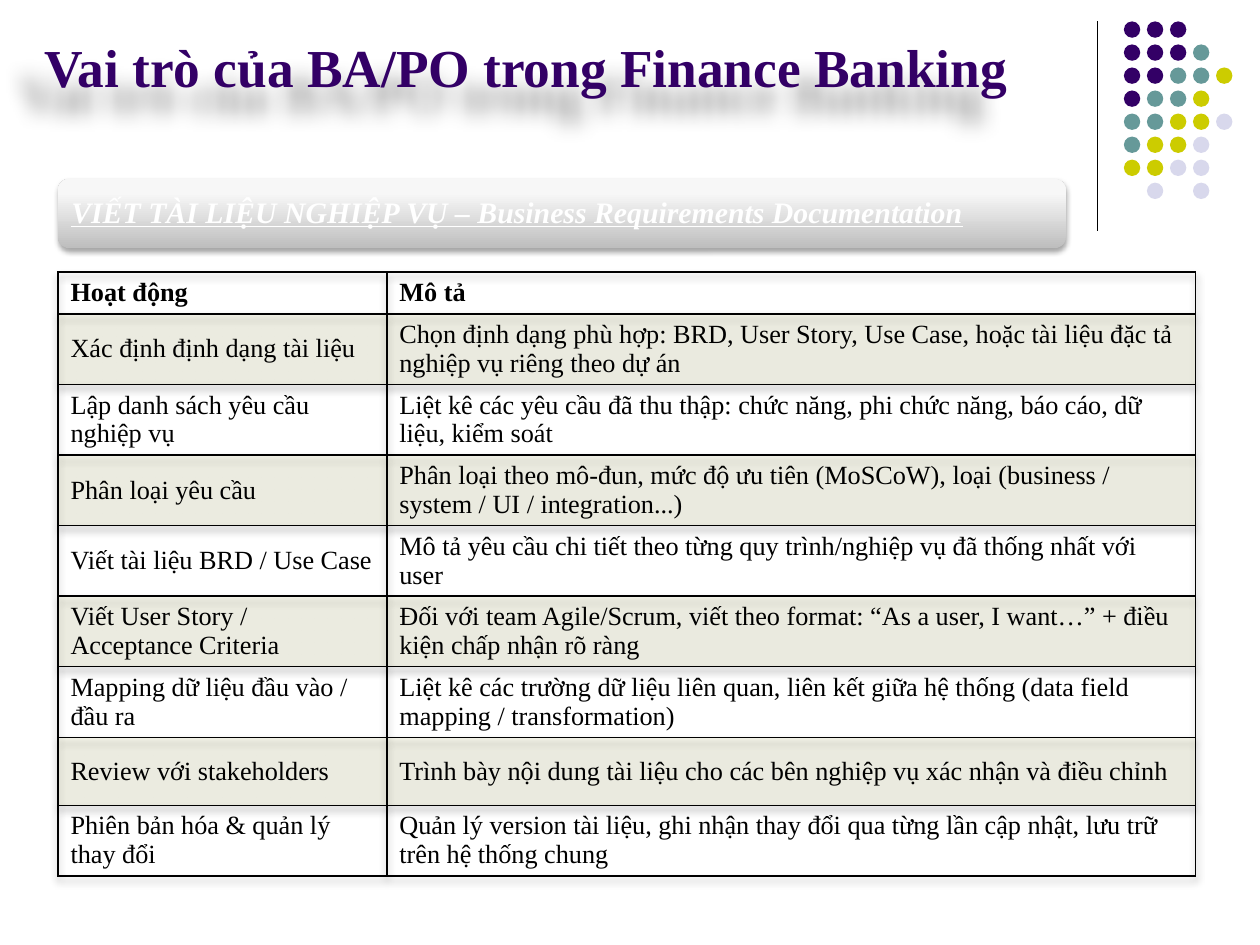
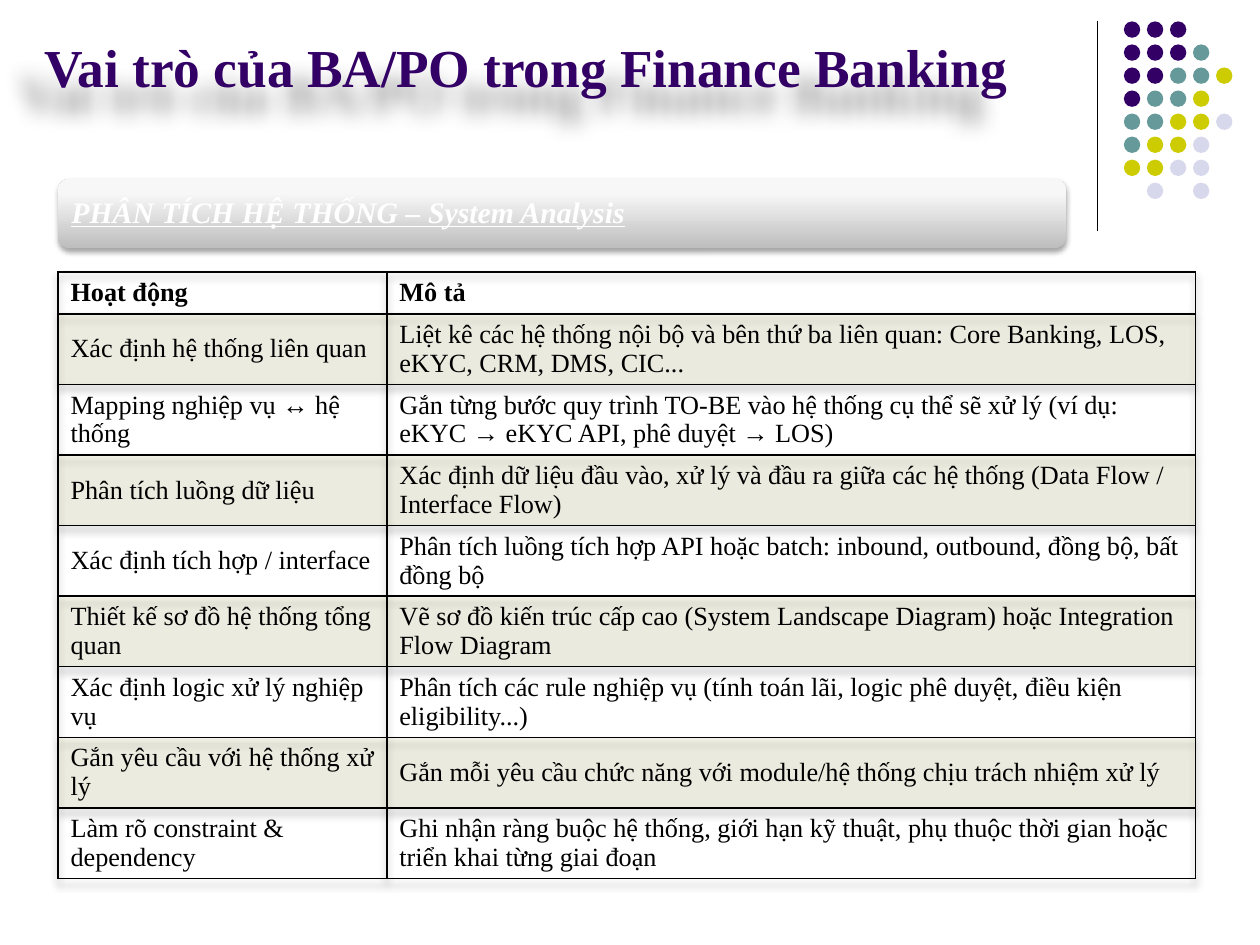
from pptx import Presentation
from pptx.dml.color import RGBColor
from pptx.enum.shapes import MSO_CONNECTOR, MSO_SHAPE
from pptx.enum.text import MSO_ANCHOR as Anchor, PP_ALIGN as Align
from pptx.oxml import parse_xml
from pptx.oxml.ns import nsdecls
from pptx.util import Inches, Pt

TITLE = "Vai trò của BA/PO trong Finance Banking"
HEADER = ("Hoạt động", "Mô tả")
SECTIONS = [
    ("VIẾT TÀI LIỆU NGHIỆP VỤ – Business Requirements Documentation", [
        ("Xác định định dạng tài liệu",
         "Chọn định dạng phù hợp: BRD, User Story, Use Case, hoặc tài liệu đặc tả "
         "nghiệp vụ riêng theo dự án"),
        ("Lập danh sách yêu cầu nghiệp vụ",
         "Liệt kê các yêu cầu đã thu thập: chức năng, phi chức năng, báo cáo, dữ liệu, "
         "kiểm soát"),
        ("Phân loại yêu cầu",
         "Phân loại theo mô-đun, mức độ ưu tiên (MoSCoW), loại (business / system / UI / "
         "integration...)"),
        ("Viết tài liệu BRD / Use Case",
         "Mô tả yêu cầu chi tiết theo từng quy trình/nghiệp vụ đã thống nhất với user"),
        ("Viết User Story / Acceptance Criteria",
         "Đối với team Agile/Scrum, viết theo format: “As a user, I want…” + điều kiện "
         "chấp nhận rõ ràng"),
        ("Mapping dữ liệu đầu vào / đầu ra",
         "Liệt kê các trường dữ liệu liên quan, liên kết giữa hệ thống (data field mapping / "
         "transformation)"),
        ("Review với stakeholders",
         "Trình bày nội dung tài liệu cho các bên nghiệp vụ xác nhận và điều chỉnh"),
        ("Phiên bản hóa & quản lý thay đổi",
         "Quản lý version tài liệu, ghi nhận thay đổi qua từng lần cập nhật, lưu trữ trên "
         "hệ thống chung"),
    ]),
    ("PHÂN TÍCH HỆ THỐNG – System Analysis", [
        ("Xác định hệ thống liên quan",
         "Liệt kê các hệ thống nội bộ và bên thứ ba liên quan: Core Banking, LOS, eKYC, CRM, "
         "DMS, CIC..."),
        ("Mapping nghiệp vụ ↔ hệ thống",
         "Gắn từng bước quy trình TO-BE vào hệ thống cụ thể sẽ xử lý (ví dụ: eKYC → eKYC API, "
         "phê duyệt → LOS)"),
        ("Phân tích luồng dữ liệu",
         "Xác định dữ liệu đầu vào, xử lý và đầu ra giữa các hệ thống (Data Flow / "
         "Interface Flow)"),
        ("Xác định tích hợp / interface",
         "Phân tích luồng tích hợp API hoặc batch: inbound, outbound, đồng bộ, bất đồng bộ"),
        ("Thiết kế sơ đồ hệ thống tổng quan",
         "Vẽ sơ đồ kiến trúc cấp cao (System Landscape Diagram) hoặc Integration Flow Diagram"),
        ("Xác định logic xử lý nghiệp vụ",
         "Phân tích các rule nghiệp vụ (tính toán lãi, logic phê duyệt, điều kiện "
         "eligibility...)"),
        ("Gắn yêu cầu với hệ thống xử lý",
         "Gắn mỗi yêu cầu chức năng với module/hệ thống chịu trách nhiệm xử lý"),
        ("Làm rõ constraint & dependency",
         "Ghi nhận ràng buộc hệ thống, giới hạn kỹ thuật, phụ thuộc thời gian hoặc triển khai "
         "từng giai đoạn"),
    ]),
]

FONT = "Times New Roman"
PURPLE, TEAL, LIME, LILAC = "330066", "669999", "CCCC00", "D8D8EC"
BLACK, WHITE, BAND = "000000", "FFFFFF", "E2E2AA"
BANNER_STOPS = [(0, "BEBEBE"), (80, "F7F7F7"), (100, "F8F8F8")]
DOT_COLORS = {"P": PURPLE, "T": TEAL, "L": LIME, "V": LILAC}
DOT_ROWS = ["PPP", "PPPT", "PPTTL", "PTTL", "TTLLV", "TLLV", "LLVV", " V V"]
DOT_LEFT, DOT_TOP, DOT_SIZE, DOT_PITCH = 8.92, 0.17, 0.13, 1.28 / 7
COLUMN_WIDTHS = (2.61, 6.42)
HEADER_HEIGHT, ROW_HEIGHT = 0.32, 0.54
PLAIN_TABLE_STYLE = "{2D5ABB26-0587-4C30-8999-92F81FD0307C}"


def color(hex_string):
    return RGBColor.from_string(hex_string)


def inches(*lengths):
    return [Inches(length) for length in lengths]


def element(tag, attributes="", inner=""):
    return parse_xml(f"<a:{tag} {nsdecls('a')} {attributes}>{inner}</a:{tag}>")


def shadow(blur, distance, angle, alpha):
    """Effect list with one black outer shadow; blur and distance in points."""
    return element("effectLst", inner=(
        f'<a:outerShdw blurRad="{Pt(blur)}" dist="{Pt(distance)}" dir="{angle * 60000}" '
        f'algn="ctr" rotWithShape="0"><a:srgbClr val="{BLACK}">'
        f'<a:alpha val="{alpha * 1000}"/></a:srgbClr></a:outerShdw>'))


def write(frame, text, size, hex_string, bold=False, italic=False, underline=False):
    frame.text = text
    frame.word_wrap = True
    para = frame.paragraphs[0]
    para.alignment = Align.LEFT
    font = para.runs[0].font
    font.name, font.size = FONT, Pt(size)
    font.bold, font.italic, font.underline = bold, italic, underline
    font.color.rgb = color(hex_string)
    return para


def add_dots(slide):
    rule = slide.shapes.add_connector(MSO_CONNECTOR.STRAIGHT, *inches(8.71, 0.17, 8.71, 1.83))
    rule.line.color.rgb = color(BLACK)
    rule.line.width = Pt(0.75)
    rule._element.spPr.append(element("effectLst"))
    group = slide.shapes.add_group_shape()
    for row, letters in enumerate(DOT_ROWS):
        for column, letter in enumerate(letters):
            if letter == " ":
                continue
            dot = group.shapes.add_shape(MSO_SHAPE.OVAL, *inches(
                DOT_LEFT + column * DOT_PITCH, DOT_TOP + row * DOT_PITCH, DOT_SIZE, DOT_SIZE))
            dot.fill.solid()
            dot.fill.fore_color.rgb = color(DOT_COLORS[letter])
            dot.line.fill.background()
            dot.shadow.inherit = False


def add_title(slide):
    title = slide.shapes.title
    title.left, title.top, title.width, title.height = inches(0.25, 0.25, 8.42, 0.58)
    para = write(title.text_frame, TITLE, 30.5, PURPLE, bold=True)
    para.space_after = Pt(6)
    title.text_frame.vertical_anchor = Anchor.BOTTOM
    title._element.spPr.append(shadow(12, 20, 135, 40))


def add_banner(slide, heading):
    banner = slide.shapes.add_shape(MSO_SHAPE.ROUNDED_RECTANGLE, *inches(0.46, 1.42, 8, 0.55))
    banner.line.fill.background()
    stops = "".join(f'<a:gs pos="{position * 1000}"><a:srgbClr val="{value}"/></a:gs>'
                    for position, value in BANNER_STOPS)
    properties = banner._element.spPr
    properties.insert(2, element("gradFill", 'rotWithShape="1"',
                                 f'<a:gsLst>{stops}</a:gsLst><a:lin ang="16200000" scaled="0"/>'))
    properties.append(shadow(3.1, 1.8, 90, 35))
    frame = banner.text_frame
    para = write(frame, heading, 17, WHITE, bold=True, italic=True, underline=True)
    para.line_spacing = 0.9
    frame.vertical_anchor = Anchor.MIDDLE
    frame.margin_left = frame.margin_right = Inches(0.08)


def format_cell(cell, text, is_header, is_banded):
    write(cell.text_frame, text, 15, BLACK, bold=is_header)
    cell.vertical_anchor = Anchor.MIDDLE
    if is_banded:
        cell.fill.solid()
        cell.fill.fore_color.rgb = color(BAND)
    else:
        cell.fill.background()
    properties = cell._tc.get_or_add_tcPr()
    for value in properties.iter("{*}srgbClr"):
        value.append(element("alpha", 'val="20000"'))
    for index, side in enumerate("LRTB"):
        properties.insert(index, element(
            f"ln{side}", f'w="{Pt(1)}"',
            f'<a:solidFill><a:srgbClr val="{BLACK}"/></a:solidFill>'))


def add_activity_table(slide, activities):
    rows = [HEADER, *activities]
    height = HEADER_HEIGHT + ROW_HEIGHT * len(activities)
    table = slide.shapes.add_table(len(rows), len(HEADER), *inches(
        0.46, 2.16, sum(COLUMN_WIDTHS), height)).table
    table.first_row = table.horz_banding = False
    properties = table._tbl.tblPr
    properties.find("{*}tableStyleId").text = PLAIN_TABLE_STYLE
    properties.insert(0, shadow(4, 3, 90, 35))
    for column, width in zip(table.columns, COLUMN_WIDTHS):
        column.width = Inches(width)
    for index, texts in enumerate(rows):
        table.rows[index].height = Inches(ROW_HEIGHT if index else HEADER_HEIGHT)
        for column, text in enumerate(texts):
            format_cell(table.cell(index, column), text, index == 0, index % 2 == 1)


def main():
    deck = Presentation()
    deck.slide_width, deck.slide_height = inches(10, 7.5)
    title_only = deck.slide_layouts[5]
    for heading, activities in SECTIONS:
        slide = deck.slides.add_slide(title_only)
        add_dots(slide)
        add_title(slide)
        add_banner(slide, heading)
        add_activity_table(slide, activities)
    deck.save("out.pptx")


if __name__ == "__main__":
    main()
